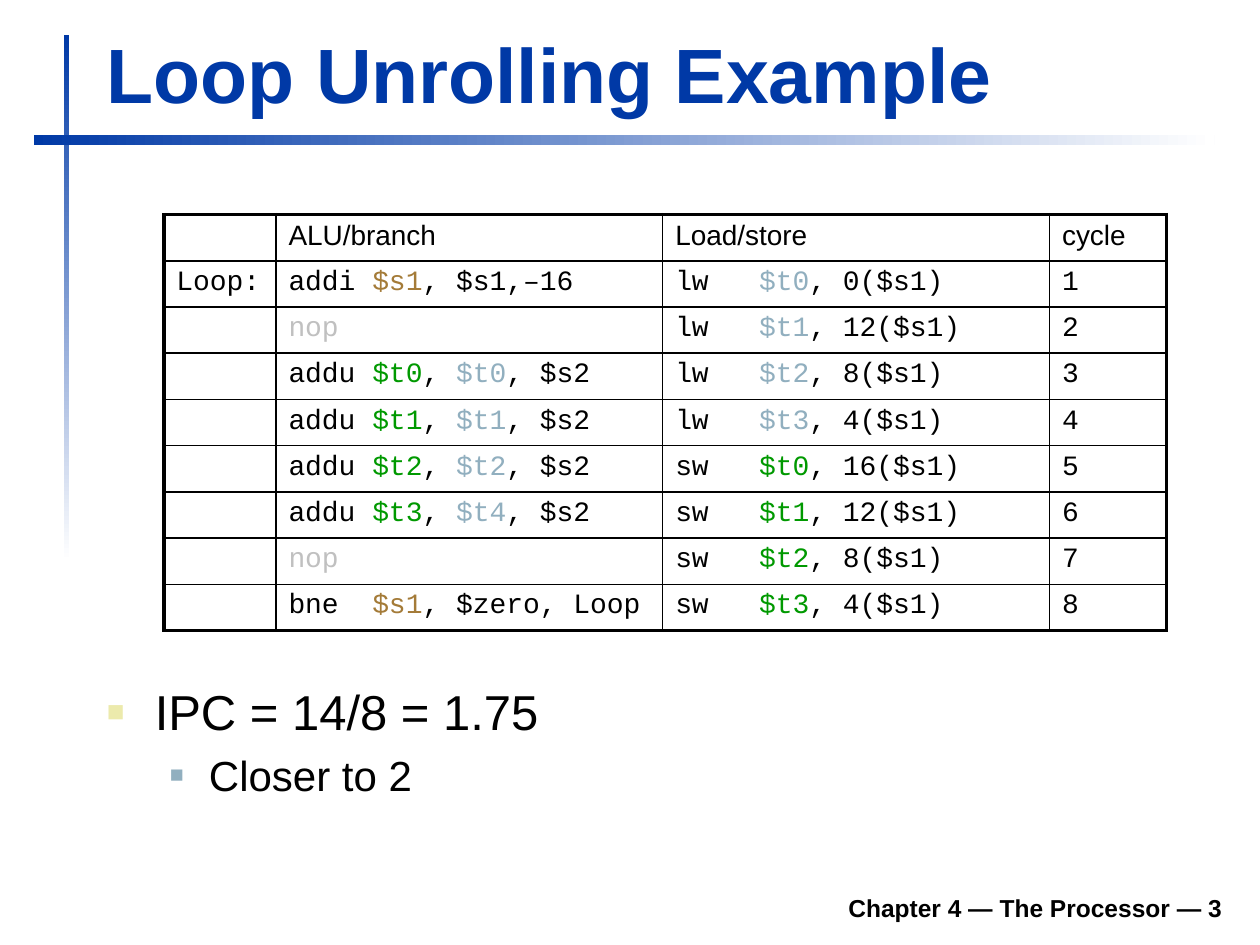
from lxml.etree import SubElement
from pptx import Presentation
from pptx.dml.color import RGBColor
from pptx.enum.shapes import MSO_SHAPE
from pptx.enum.text import MSO_ANCHOR, PP_ALIGN
from pptx.oxml import parse_xml
from pptx.oxml.ns import nsdecls, qn
from pptx.util import Inches, Pt

WIDE, HIGH = Inches(10), Inches(7.5)
SANS, MONO = "Arial", "Courier New"
BLACK, BLUE, WHITE = "000000", "0039A6", "FFFFFF"
GOLD, MIST, GREEN, GREY, SAND = "A47B38", "91AFBF", "009900", "C0C0C0", "ECEAAC"

# Pieces between bars take the listed tones in turn.
HEADS = ["", "ALU/branch", "Load/store", "cycle"]
CODE = [
    (("addi |$s1|, $s1,–16", GOLD), ("lw   |$t0|, 0($s1)", MIST)),
    (("|nop|", GREY), ("lw   |$t1|, 12($s1)", MIST)),
    (("addu |$t0|, |$t0|, $s2", GREEN, MIST), ("lw   |$t2|, 8($s1)", MIST)),
    (("addu |$t1|, |$t1|, $s2", GREEN, MIST), ("lw   |$t3|, 4($s1)", MIST)),
    (("addu |$t2|, |$t2|, $s2", GREEN, MIST), ("sw   |$t0|, 16($s1)", GREEN)),
    (("addu |$t3|, |$t4|, $s2", GREEN, MIST), ("sw   |$t1|, 12($s1)", GREEN)),
    (("|nop|", GREY), ("sw   |$t2|, 8($s1)", GREEN)),
    (("bne  |$s1|, $zero, Loop", GOLD), ("sw   |$t3|, 4($s1)", GREEN)),
]
COLS = [89, 307, 307, 93]
THICK, MID, THIN = 2.25, 1.5, 1


def color(code):
    return RGBColor.from_string(code)


def place(box):
    """Turn percent shares of the slide into lengths."""
    return [round(part * side / 100) for part, side in zip(box, (WIDE, HIGH) * 2)]


def add_run(para, text, size, tone=BLACK, face=SANS, bold=False):
    run = para.add_run()
    run.text = text
    font = run.font
    font.name, font.size, font.bold = face, Pt(size), bold
    font.color.rgb = color(tone)


def add_frame(slide, box, anchor):
    frame = slide.shapes.add_textbox(*place(box)).text_frame
    frame.word_wrap = True
    frame.vertical_anchor = anchor
    return frame


def add_bar(slide, box, angle):
    """Draw a bar that fades from blue to white."""
    bar = slide.shapes.add_shape(MSO_SHAPE.RECTANGLE, *place(box))
    bar.shadow.inherit = False
    bar.line.fill.background()
    bar.fill.gradient()
    bar.fill.gradient_angle = angle
    for stop, tone in zip(bar.fill.gradient_stops, (BLUE, WHITE)):
        stop.color.rgb = color(tone)


def add_line(slide, box, text, size, tone=BLACK, align=PP_ALIGN.LEFT):
    """Set one bold line at the foot of its box."""
    para = add_frame(slide, box, MSO_ANCHOR.BOTTOM).paragraphs[0]
    para.alignment = align
    add_run(para, text, size, tone, bold=True)


def add_bullet(para, left, hang, tone, share):
    props = para._p.get_or_add_pPr()
    props.set("marL", str(Inches(left)))
    props.set("indent", str(-Inches(hang)))
    SubElement(SubElement(props, qn("a:buClr")), qn("a:srgbClr")).set("val", tone)
    SubElement(props, qn("a:buSzPct")).set("val", str(share * 1000))
    SubElement(props, qn("a:buFont")).set("typeface", SANS)
    SubElement(props, qn("a:buChar")).set("char", "■")


def add_points(slide, box):
    frame = add_frame(slide, box, MSO_ANCHOR.TOP)
    first = frame.paragraphs[0]
    add_bullet(first, 0.38, 0.38, SAND, 60)
    add_run(first, "IPC = 14/8 = 1.75", 28)
    second = frame.add_paragraph()
    second.level = 1
    second.space_before = Pt(5)
    add_bullet(second, 0.81, 0.31, MIST, 55)
    add_run(second, "Closer to 2", 24)


def set_edges(cell, edges):
    """Give the left, right, top and bottom borders their widths."""
    props = cell._tc.get_or_add_tcPr()
    for spot, (side, width) in enumerate(zip("LRTB", edges)):
        props.insert(spot, parse_xml(
            f'<a:ln{side} {nsdecls("a")} w="{Pt(width)}"><a:solidFill>'
            f'<a:srgbClr val="{BLACK}"/></a:solidFill></a:ln{side}>'))


def fill_cell(cell, text, tones, face):
    cell.fill.background()
    para = cell.text_frame.paragraphs[0]
    if not text:
        SubElement(para._p, qn("a:endParaRPr")).set("sz", "1600")
    tones = iter(tones)
    for spot, piece in enumerate(text.split("|")):
        tone = next(tones) if spot % 2 else BLACK
        if piece:
            add_run(para, piece, 16, tone, face)


def add_code(slide, box):
    """Build the schedule of issued instructions."""
    rows = [[(head,) for head in HEADS]]
    for cycle, (branch, store) in enumerate(CODE, 1):
        label = "Loop:" if cycle == 1 else ""
        rows.append([(label,), branch, store, (str(cycle),)])
    left, top, width, height = place(box)
    table = slide.shapes.add_table(
        len(rows), len(COLS), left, top, width, height).table
    table.first_row = table.horz_banding = False
    for col, share in zip(table.columns, COLS):
        col.width = round(width * share / sum(COLS))
    across = [THICK] + [THIN] * (len(COLS) - 1) + [THICK]
    down = [THICK, MID] + [THIN] * (len(rows) - 2) + [THICK]
    for y, row in enumerate(rows):
        for x, (text, *tones) in enumerate(row):
            cell = table.cell(y, x)
            fill_cell(cell, text, tones, MONO if y else SANS)
            set_edges(cell, across[x:x + 2] + down[y:y + 2])


def main():
    deck = Presentation()
    deck.slide_width, deck.slide_height = WIDE, HIGH
    slide = deck.slides.add_slide(deck.slide_layouts[6])
    add_bar(slide, (5.1, 3.75, 0.4, 55.6), 270)
    add_bar(slide, (2.7, 14.3, 93.7, 1.1), 0)
    add_line(slide, (18.5, 93.1, 79.5, 5.2), "Chapter 4 — The Processor — 3",
             14, align=PP_ALIGN.RIGHT)
    add_line(slide, (7.5, 2.1, 90.3, 11.1), "Loop Unrolling Example", 44, BLUE)
    add_points(slide, (7.5, 71.5, 90.5, 19.6))
    add_code(slide, (13, 22.7, 79.6, 44))
    deck.save("out.pptx")


if __name__ == "__main__":
    main()
